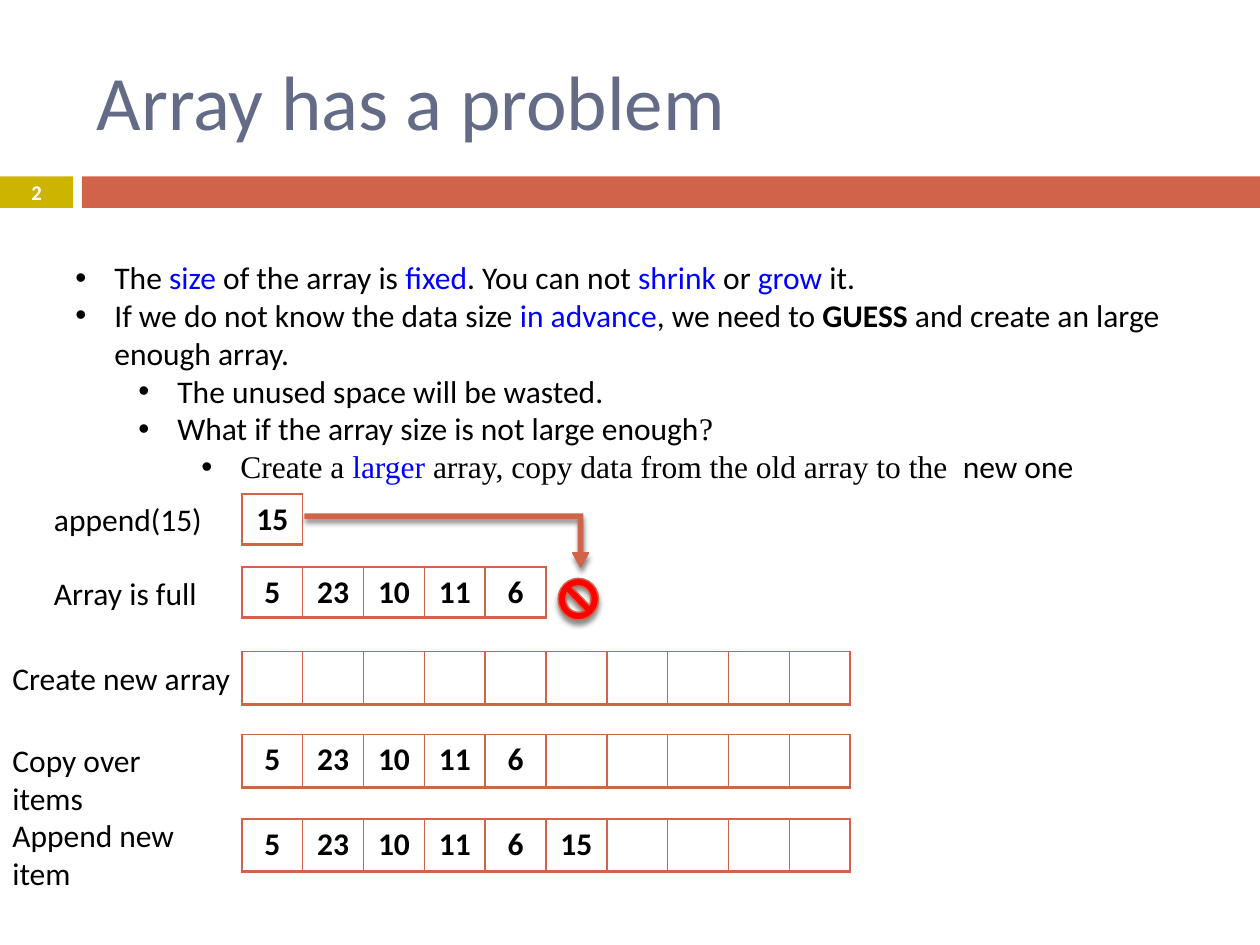
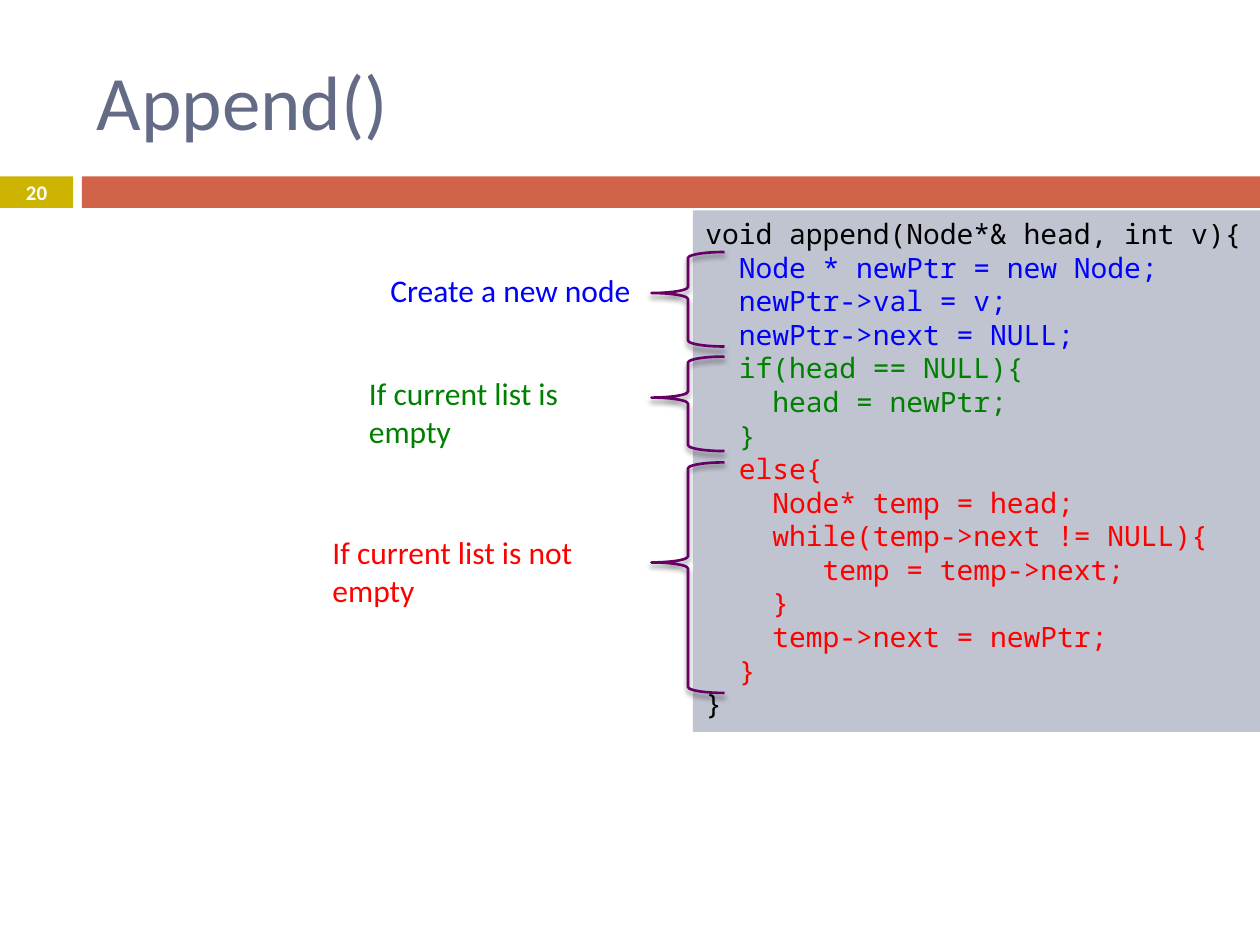
from dataclasses import dataclass

from lxml.etree import SubElement
from pptx import Presentation
from pptx.dml.color import RGBColor
from pptx.enum.shapes import MSO_SHAPE
from pptx.enum.text import MSO_ANCHOR, PP_ALIGN
from pptx.oxml.ns import qn
from pptx.util import Inches, Pt


@dataclass(frozen=True)
class Theme:
    band: str = "D16349"
    number_band: str = "CCB400"
    title: str = "646B86"
    code_panel: str = "C0C3D0"
    brace: str = "660066"
    black: str = "000000"
    white: str = "FFFFFF"
    blue: str = "0000FF"
    green: str = "008000"
    red: str = "FF0000"
    font: str = "Calibri"
    serif: str = "Times New Roman"
    mono: str = "Noto Sans Mono"
    title_size: float = 44
    body_size: float = 18
    code_size: float = 16
    number_size: float = 11.9


theme = Theme()


def write(frame, lines, size=theme.body_size, font=theme.font, bold=False,
          align=PP_ALIGN.LEFT, anchor=MSO_ANCHOR.TOP):
    """Fill a frame; each line is a list of (text, colour, overrides) runs."""
    frame.word_wrap = True
    frame.vertical_anchor = anchor
    for index, line in enumerate(lines):
        paragraph = frame.add_paragraph() if index else frame.paragraphs[0]
        paragraph.alignment = align
        for text, colour, *overrides in line:
            look = overrides[0] if overrides else {}
            run = paragraph.add_run()
            run.text = text
            run.font.size = Pt(size)
            run.font.name = look.get("font", font)
            run.font.bold = look.get("bold", bold)
            run.font.color.rgb = RGBColor.from_string(colour)


def paint(shape, fill=None, line=None, width=0.79, shadow=False):
    """Set fill, outline and, if asked for, a soft shadow below the shape."""
    if fill:
        shape.fill.solid()
        shape.fill.fore_color.rgb = RGBColor.from_string(fill)
    else:
        shape.fill.background()
    if line:
        shape.line.color.rgb = RGBColor.from_string(line)
        shape.line.width = Pt(width)
    else:
        shape.line.fill.background()
    shape.shadow.inherit = False
    if shadow:
        effects = shape.element.spPr.find(qn("a:effectLst"))
        outer = SubElement(effects, qn("a:outerShdw"), blurRad=str(Pt(3)),
                           dist=str(Pt(2.4)), dir="5400000", rotWithShape="0")
        colour = SubElement(outer, qn("a:srgbClr"), val=theme.black)
        SubElement(colour, qn("a:alpha"), val="45000")


deck = Presentation()
deck.slide_width, deck.slide_height = Inches(10), Inches(7.5)

# Bands, title and page number of both slides
slides = []
for title, number in (("Array has a problem", "2"), ("Append()", "20")):
    slide = deck.slides.add_slide(deck.slide_layouts[6])
    for left, width, colour in ((0, 0.58, theme.number_band), (0.65, 9.35, theme.band)):
        band = slide.shapes.add_shape(MSO_SHAPE.RECTANGLE, Inches(left), Inches(1.4),
                                      Inches(width), Inches(0.25))
        paint(band, colour)
    heading = slide.shapes.add_textbox(Inches(0.67), Inches(0.25), Inches(8.92), Inches(1.08))
    write(heading.text_frame, [[(title, theme.title)]], theme.title_size,
          anchor=MSO_ANCHOR.MIDDLE)
    page = slide.shapes.add_textbox(Inches(0), Inches(1.39), Inches(0.58), Inches(0.27))
    write(page.text_frame, [[(number, theme.white)]], theme.number_size, bold=True,
          align=PP_ALIGN.CENTER, anchor=MSO_ANCHOR.MIDDLE)
    slides.append(slide)
problem_slide, append_slide = slides

# Slide 1: the limits of an array, as nested bullets
serif = {"font": theme.serif}
limits = [
    (0, [("The ", theme.black), ("size", theme.blue), (" of the array is ", theme.black),
         ("fixed", theme.blue), (". You can not ", theme.black), ("shrink", theme.blue),
         (" or ", theme.black), ("grow ", theme.blue), ("it.", theme.black)]),
    (0, [("If we do not know the data size ", theme.black), ("in advance", theme.blue),
         (", we need to ", theme.black), ("GUESS", theme.black, {"bold": True}),
         (" and create an large enough array.", theme.black)]),
    (1, [("The unused space will be wasted.", theme.black)]),
    (1, [("What if the array size is not large enough", theme.black),
         ("?", theme.black, serif)]),
    (2, [("Create a ", theme.black, serif), ("larger", theme.blue, serif),
         (" array, copy data from the old array to the ", theme.black, serif),
         (" new one", theme.black)]),
]
limits_box = problem_slide.shapes.add_textbox(Inches(0.5), Inches(2), Inches(9.17), Inches(1.92))
write(limits_box.text_frame, [runs for _, runs in limits])
for paragraph, (level, _) in zip(limits_box.text_frame.paragraphs, limits):
    paragraph.level = level
    properties = paragraph._p.get_or_add_pPr()
    properties.set("marL", str(Inches(0.31 + 0.5 * level)))
    properties.set("indent", str(Inches(-0.31)))
    SubElement(properties, qn("a:buFont"), typeface="Arial")
    SubElement(properties, qn("a:buChar"), char="•")

# Array states: top, row height, number of cells, values
full = ["5", "23", "10", "11", "6"]
arrays = [
    (3.92, 0.4, 1, ["15"]),
    (4.5, 0.4, 5, full),
    (5.17, 0.42, 10, []),
    (5.83, 0.42, 10, full),
    (6.5, 0.42, 10, full + ["15"]),
]
for top, height, slots, values in arrays:
    array = problem_slide.shapes.add_table(1, slots, Inches(1.92), Inches(top),
                                           Inches(0.483 * slots), Inches(height)).table
    for slot in range(slots):
        cell = array.cell(0, slot)
        borders = cell._tc.get_or_add_tcPr()
        for side, width in (("L", 1), ("R", 1), ("T", 1), ("B", 2)):
            border = SubElement(borders, qn(f"a:ln{side}"), w=str(Pt(width)))
            SubElement(SubElement(border, qn("a:solidFill")), qn("a:srgbClr"), val=theme.band)
        cell.fill.background()
        if slot < len(values):
            write(cell.text_frame, [[(values[slot], theme.black)]], bold=True,
                  align=PP_ALIGN.CENTER)

# Step labels beside the arrays
for step, left, top, width in (
    ("append(15)", 0.33, 3.92, 1.41),
    ("Array is full", 0.33, 4.51, 1.36),
    ("Create new array", 0, 5.18, 2),
    ("Copy over items", 0, 5.83, 1.75),
    ("Append new item", 0, 6.43, 1.9),
):
    label = problem_slide.shapes.add_textbox(Inches(left), Inches(top), Inches(width), Inches(0.4))
    write(label.text_frame, [[(step, theme.black)]])

# The new item finds no room
arrow = problem_slide.shapes.add_shape(MSO_SHAPE.BENT_UP_ARROW, Inches(2.42), Inches(4.08),
                                       Inches(2.25), Inches(0.42))
for index, value in enumerate((0.082, 0.149, 0.267)):
    arrow.adjustments[index] = value
arrow.rotation = 180
arrow.element.spPr.find(qn("a:xfrm")).set("flipH", "1")
paint(arrow, theme.band, theme.band, shadow=True)
no_room = problem_slide.shapes.add_shape(MSO_SHAPE.NO_SYMBOL, Inches(4.43), Inches(4.59),
                                         Inches(0.32), Inches(0.33))
paint(no_room, theme.red, theme.band, shadow=True)

# Slide 2: the append function, coloured by part
code = [
    (theme.black, ["void append(Node*& head, int v){"]),
    (theme.blue, ["  Node * newPtr = new Node;",
                  "  newPtr->val = v;",
                  "  newPtr->next = NULL;"]),
    (theme.green, ["  if(head == NULL){",
                   "    head = newPtr;",
                   "  }"]),
    (theme.red, ["  else{",
                 "    Node* temp = head;",
                 "    while(temp->next != NULL){",
                 "       temp = temp->next;",
                 "    }",
                 "    temp->next = newPtr;",
                 "  }"]),
    (theme.black, ["}"]),
]
code_panel = append_slide.shapes.add_shape(MSO_SHAPE.RECTANGLE, Inches(5.5), Inches(1.67),
                                           Inches(4.53), Inches(4.14))
paint(code_panel, theme.code_panel)
write(code_panel.text_frame, [[(line, colour)] for colour, part in code for line in part],
      theme.code_size, theme.mono)

# Braces with the meaning of each part
for meaning, colour, brace_top, brace_height, left, top, width in (
    ("Create a new node", theme.blue, 2, 0.75, 3, 2.1, 2.15),
    ("If current list is empty", theme.green, 2.83, 0.75, 2.83, 2.92, 2.3),
    ("If current list is not empty", theme.red, 3.67, 1.83, 2.54, 4.18, 2.71),
):
    brace = append_slide.shapes.add_shape(MSO_SHAPE.LEFT_BRACE, Inches(5.17), Inches(brace_top),
                                          Inches(0.58), Inches(brace_height))
    brace.adjustments[0], brace.adjustments[1] = 0.083, 0.434
    paint(brace, line=theme.brace, width=1.5, shadow=True)
    note = append_slide.shapes.add_textbox(Inches(left), Inches(top), Inches(width), Inches(0.4))
    write(note.text_frame, [[(meaning, colour)]])

deck.save("out.pptx")
